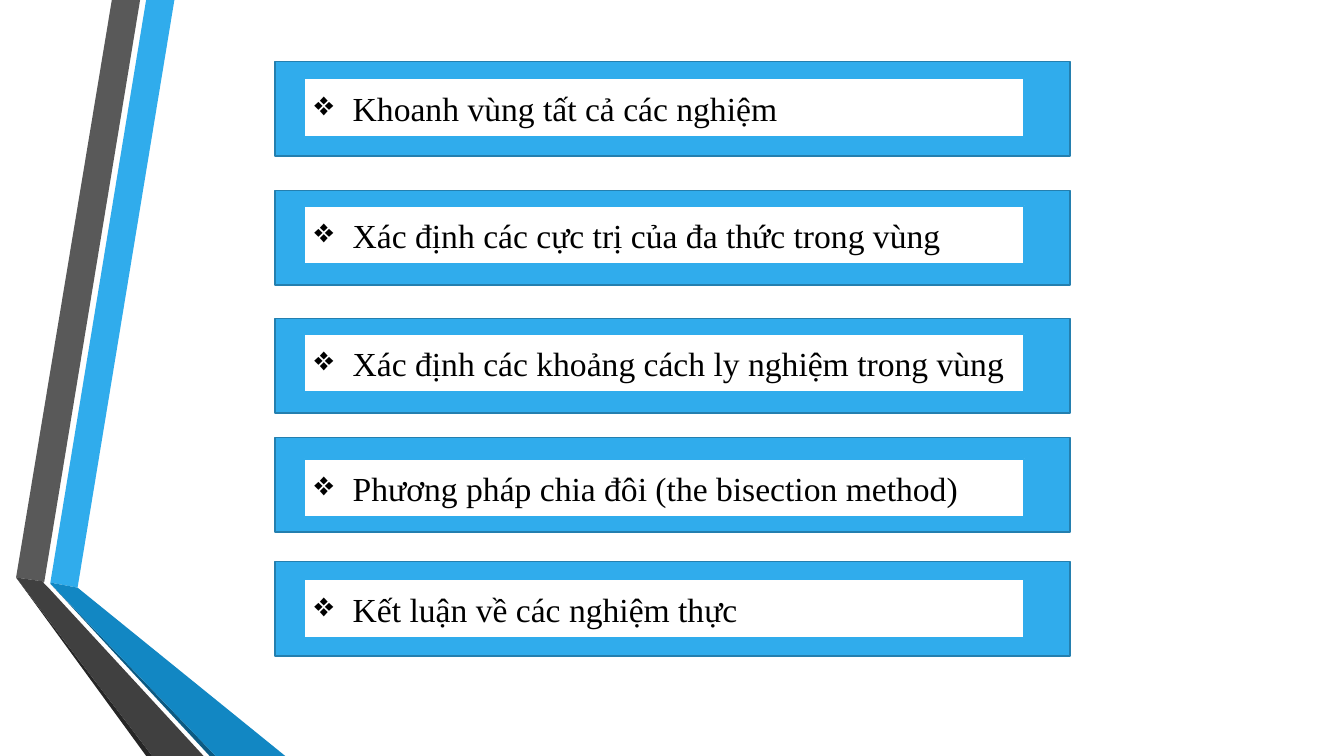
"""Build a slide listing five steps for finding the real roots of a polynomial."""
from typing import NamedTuple

from lxml import etree
from pptx import Presentation
from pptx.dml.color import RGBColor
from pptx.enum.shapes import MSO_SHAPE
from pptx.enum.text import MSO_ANCHOR, PP_ALIGN
from pptx.oxml.ns import qn
from pptx.shapes.autoshape import Shape
from pptx.slide import Slide
from pptx.text.text import _Paragraph
from pptx.util import Inches, Pt

RECT = MSO_SHAPE.RECTANGLE
MIDDLE = MSO_ANCHOR.MIDDLE
LEFT = PP_ALIGN.LEFT

BLUE = "30ACEC"
EDGE = "247FAF"
WHITE = "FFFFFF"
BLACK = "000000"
FONT = {"name": "Times New Roman", "size": Pt(24)}
FRAME = {"word_wrap": True, "vertical_anchor": MIDDLE}
INDENT = {"marL": str(Inches(0.38)), "indent": str(-Inches(0.38))}


class Band(NamedTuple):
    fill: str
    points: list[tuple[float, float]]


class Step(NamedTuple):
    text: str
    bar_top: float
    label_top: float


BANDS = [
    Band(BLUE, [(0.5, 5.78), (0.77, 5.83), (1.73, 0), (1.45, 0)]),
    Band("595959", [(1.39, 0), (1.11, 0), (0.16, 5.73), (0.44, 5.77)]),
    Band("262626", [(0.16, 5.73), (1.45, 7.5), (1.51, 7.5)]),
    Band("0C5A82", [(0.5, 5.79), (2.08, 7.5), (2.14, 7.5)]),
    Band("1287C3", [(0.5, 5.79), (2.14, 7.5), (2.83, 7.5), (0.77, 5.83), (0.5, 5.78)]),
    Band("404040", [(2.02, 7.5), (0.48, 5.83), (0.43, 5.78), (0.44, 5.77),
                    (0.16, 5.73), (1.51, 7.5)]),
]

STEPS = [
    Step("Khoanh vùng tất cả các nghiệm", 0.61, 0.78),
    Step("Xác định các cực trị của đa thức trong vùng", 1.89, 2.04),
    Step("Xác định các khoảng cách ly nghiệm trong vùng", 3.16, 3.31),
    Step("Phương pháp chia đôi (the bisection method)", 4.34, 4.55),
    Step("Kết luận về các nghiệm thực", 5.57, 5.75),
]


def color(code: str) -> RGBColor:
    return RGBColor.from_string(code)


def paint(shape: Shape, fill: str, line: str | None = None) -> None:
    shape.shadow.inherit = False
    shape.fill.solid()
    shape.fill.fore_color.rgb = color(fill)
    if line:
        shape.line.color.rgb = color(line)
        shape.line.width = Pt(1.25)
    else:
        shape.line.fill.background()


def add_band(slide: Slide, band: Band) -> None:
    start, *rest = [(Inches(x), Inches(y)) for x, y in band.points]
    pen = slide.shapes.build_freeform(*start)
    pen.add_line_segments(rest)
    paint(pen.convert_to_shape(), band.fill)


def add_box(slide: Slide, left: float, top: float, width: float, height: float,
            fill: str, line: str) -> Shape:
    place = map(Inches, (left, top, width, height))
    box = slide.shapes.add_shape(RECT, *place)
    paint(box, fill, line)
    return box


def add_bullet(para: _Paragraph) -> None:
    props = para._p.get_or_add_pPr()
    for name, value in INDENT.items():
        props.set(name, value)
    etree.SubElement(props, qn("a:buChar")).set("char", "❖")


def add_label(slide: Slide, step: Step) -> None:
    box = add_box(slide, 3.02, step.label_top, 7.14, 0.58, WHITE, BLUE)
    frame = box.text_frame
    for name, value in FRAME.items():
        setattr(frame, name, value)
    para = frame.paragraphs[0]
    para.alignment = LEFT
    add_bullet(para)
    run = para.add_run()
    run.text = step.text
    for name, value in FONT.items():
        setattr(run.font, name, value)
    run.font.color.rgb = color(BLACK)


def main() -> None:
    deck = Presentation()
    deck.slide_width = Inches(13.33)
    deck.slide_height = Inches(7.5)
    slide = deck.slides.add_slide(deck.slide_layouts[6])
    for band in BANDS:
        add_band(slide, band)
    for step in STEPS:
        add_box(slide, 2.73, step.bar_top, 7.88, 0.94, BLUE, EDGE)
        add_label(slide, step)
    deck.save("out.pptx")


if __name__ == "__main__":
    main()
